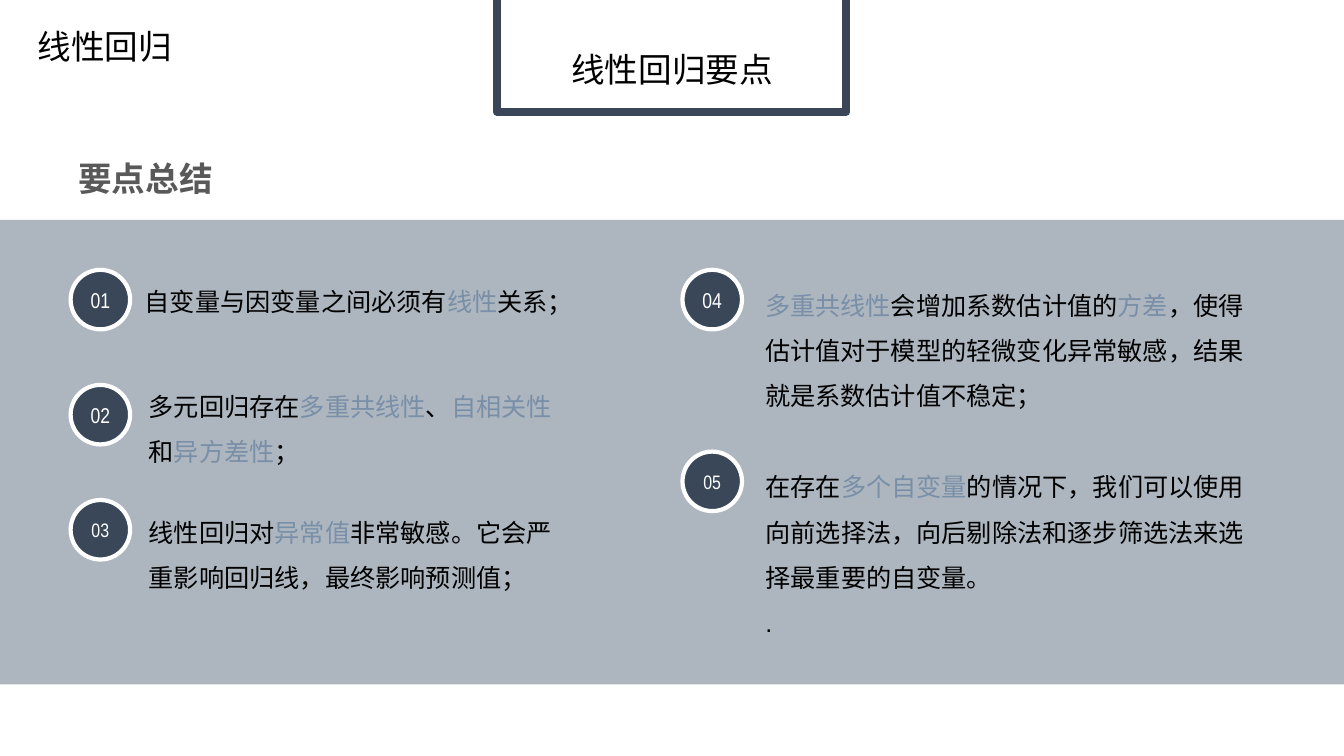
"""Build the slide that sums up the key points of linear regression."""
from dataclasses import dataclass

from lxml import etree
from pptx import Presentation
from pptx import util as u
from pptx.dml.color import RGBColor
from pptx.enum import lang, shapes, text
from pptx.oxml.ns import qn

INK, BLUE, WHITE = "000000", "798FA8", "FFFFFF"
SANS, NARROW, HAN = "Arial", "Arial Narrow", "Noto Sans CJK SC"
DISC = 1.5
MID, LEFT = text.PP_ALIGN.CENTER, text.PP_ALIGN.LEFT
TOP, MIDDLE, BASE = text.MSO_ANCHOR.TOP, text.MSO_ANCHOR.MIDDLE, text.MSO_ANCHOR.BOTTOM


@dataclass
class Box:
    x: float
    y: float
    w: float
    h: float

    def span(self) -> list:
        return [u.Cm(n) for n in (self.x, self.y, self.w, self.h)]


@dataclass
class Style:
    face: str
    size: float
    hue: str = INK
    bold: bool = False
    align: int = LEFT
    lines: float = 1.0
    anchor: int = TOP


@dataclass
class Point:
    mark: str
    size: float
    disc_x: float
    disc_y: float
    body: Box
    lines: list


HEAD = Style(HAN, 24, align=MID, lines=0.9, anchor=BASE)
SUB = Style(SANS, 24, "595959", True, MID, 1.1, MIDDLE)
BODY = Style(SANS, 18, lines=1.5)

COL_A, COL_B = 1.78, 17.2
ROW_A, ROW_STEP, ROW_B = 6.8, 2.9, 11.38
POINTS = [
    Point("01", 15.3, COL_A, ROW_A, Box(3.4, 6.71, 11.28, 2.31),
          ["自变量与因变量之间必须有*线性*关系；"]),
    Point("02", 15.3, COL_A, ROW_A + ROW_STEP, Box(3.5, 9.35, 11.1, 2.31),
          ["多元回归存在*多重共线性*、*自相关性*和*异方差性*；"]),
    Point("03", 13.9, COL_A, ROW_A + 2 * ROW_STEP, Box(3.5, 12.52, 11.28, 2.31),
          ["线性回归对*异常值*非常敏感。它会严重影响回归线，最终影响预测值；"]),
    Point("04", 15.3, COL_B, ROW_A, Box(19.03, 6.8, 12.7, 2.31),
          ["*多重共线性*会增加系数估计值的*方差*，使得估计值对于模型的轻微变化异常敏感，"
           "结果就是系数估计值不稳定；"]),
    Point("05", 13.9, COL_B, ROW_B, Box(19.04, 11.38, 12.68, 2.31),
          ["在存在*多个自变量*的情况下，我们可以使用向前选择法，向后剔除法和逐步筛选法来选择最重要的自变量。",
           "."]),
]


def tint(hue: str) -> RGBColor:
    """Turn a hex string into a colour."""
    return RGBColor.from_string(hue)


def put(item, values: dict) -> None:
    """Set each named value on an item."""
    for name, value in values.items():
        setattr(item, name, value)


def write(frame, lines: list, style: Style) -> None:
    """Fill a text frame, with the parts between stars in blue."""
    put(frame, {"word_wrap": True, "auto_size": text.MSO_AUTO_SIZE.NONE,
                "vertical_anchor": style.anchor})
    for i, line in enumerate(lines):
        para = frame.add_paragraph() if i else frame.paragraphs[0]
        put(para, {"alignment": style.align, "line_spacing": style.lines})
        for j, part in enumerate(line.split("*")):
            if not part:
                continue
            run = para.add_run()
            run.text = part
            put(run.font, {"name": style.face, "size": u.Pt(style.size), "bold": style.bold,
                           "language_id": lang.MSO_LANGUAGE_ID.SIMPLIFIED_CHINESE})
            run.font.color.rgb = tint(BLUE if j % 2 else style.hue)
            etree.SubElement(run.font._element, qn("a:ea"), typeface=style.face)


def label(slide, box: Box, lines: list, style: Style) -> None:
    """Add a text box."""
    write(slide.shapes.add_textbox(*box.span()).text_frame, lines, style)


def block(slide, kind: int, box: Box, fill: str, edge: str = "", width: float = 0):
    """Add a filled shape, with an outline if an edge colour is given."""
    shape = slide.shapes.add_shape(kind, *box.span())
    shape.shadow.inherit = False
    shape.fill.solid()
    shape.fill.fore_color.rgb = tint(fill)
    if edge:
        shape.line.color.rgb = tint(edge)
        shape.line.width = u.Pt(width)
    else:
        shape.line.fill.background()
    return shape


def badge(slide, point: Point) -> None:
    """Add the numbered disc of a point."""
    box = Box(point.disc_x, point.disc_y, DISC, DISC)
    disc = block(slide, shapes.MSO_SHAPE.OVAL, box, "394758", WHITE, 3)
    put(disc.text_frame, dict.fromkeys(
        ("margin_left", "margin_right", "margin_top", "margin_bottom"), 0))
    write(disc.text_frame, [point.mark],
          Style(NARROW, point.size, WHITE, align=MID, anchor=MIDDLE))


def main() -> None:
    """Draw the slide and save it."""
    deck = Presentation()
    put(deck, {"slide_width": u.Cm(33.87), "slide_height": u.Cm(19.05)})
    slide = deck.slides.add_slide(deck.slide_layouts[5])
    rect = shapes.MSO_SHAPE.RECTANGLE
    block(slide, rect, Box(0, 5.54, 33.87, 11.71), "ADB6BF")
    label(slide, Box(1.09, 3.73, 5.16, 1.4), ["要点总结"], SUB)
    for point in POINTS:
        label(slide, point.body, point.lines, BODY)
    frame = block(slide, rect, Box(12.52, -1.52, 8.81, 4.34), WHITE, "3A4557", 5.5)
    title = slide.shapes.title
    put(title, dict(zip(("left", "top", "width", "height"), Box(12.85, 0.64, 8.18, 1.75).span())))
    write(title.text_frame, ["线性回归要点"], HEAD)
    frame.element.addnext(title.element)
    label(slide, Box(0, 0.05, 5.28, 1.75), ["线性回归"], HEAD)
    for point in POINTS:
        badge(slide, point)
    deck.save("out.pptx")


if __name__ == "__main__":
    main()
